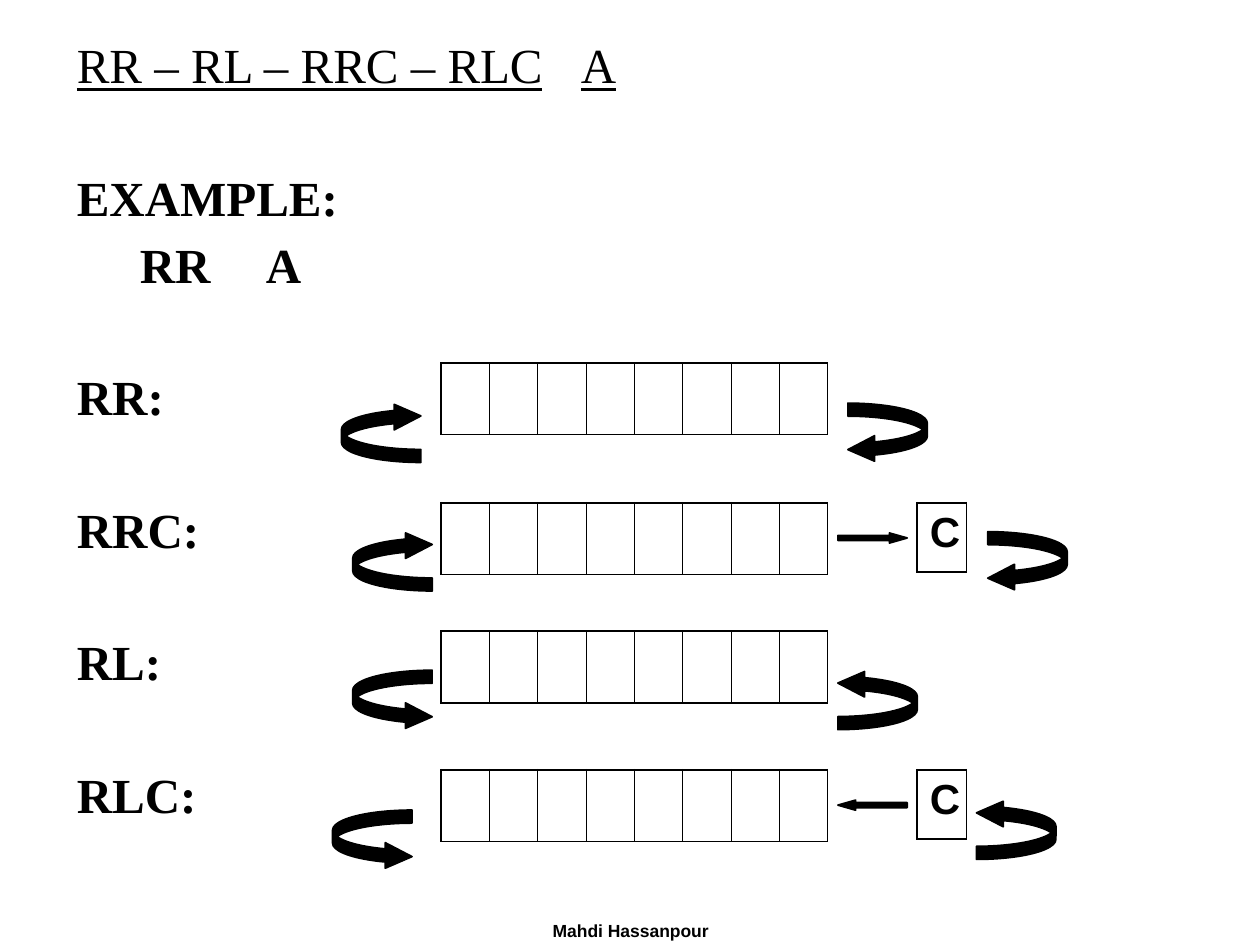
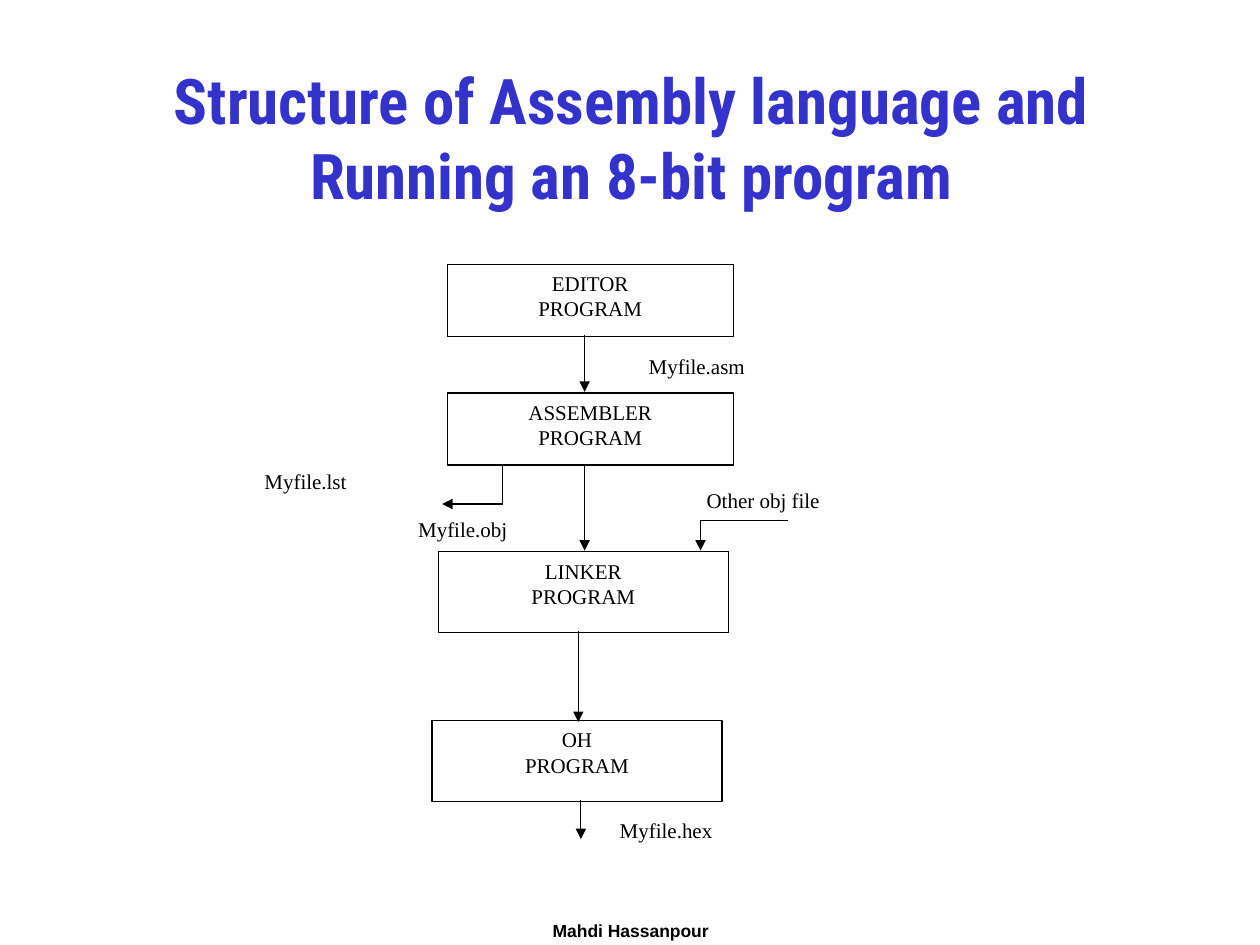
from dataclasses import dataclass

from lxml import etree
from pptx import Presentation
from pptx import util as u
from pptx.dml import color
from pptx.enum import shapes, text
from pptx.oxml import ns


@dataclass
class Theme:
    ink: color.RGBColor = color.RGBColor(0, 0, 0)
    paper: color.RGBColor = color.RGBColor(255, 255, 255)
    blue: color.RGBColor = color.RGBColor(0x33, 0x33, 0xCC)
    serif: str = "Times New Roman"
    sans: str = "Arial"
    head: str = "Roboto Condensed"
    title: int = 36
    body: int = 28
    carry: int = 24
    label: int = 12
    foot: int = 10
    thin: float = 0.45
    edge: float = 1.08
    line: float = 0.74


theme = Theme()
inch = u.Inches


def style(para, face, size, bold=False, tint=theme.ink, align=None):
    """Set the font and alignment of one paragraph."""
    font = para.font
    font.name, font.size, font.bold = face, u.Pt(size), bold
    font.color.rgb = tint
    para.alignment = align


def grid(slide, left, top, width, height, count):
    """Add a one-row table with thin inner and thick outer borders."""
    table = slide.shapes.add_table(
        1, count, inch(left), inch(top), inch(width), inch(height)).table
    table.first_row = table.horz_banding = False
    for i in range(count):
        cell = table.cell(0, i)
        props = cell._tc.get_or_add_tcPr()
        sides = {"L": theme.thin if i else theme.edge,
                 "R": theme.thin if i < count - 1 else theme.edge,
                 "T": theme.edge, "B": theme.edge}
        for side, points in sides.items():
            line = etree.SubElement(props, ns.qn("a:ln" + side), w=str(u.Pt(points)))
            fill = etree.SubElement(line, ns.qn("a:solidFill"))
            etree.SubElement(fill, ns.qn("a:srgbClr"), val=str(theme.ink))
        cell.fill.background()
    return table


deck = Presentation()
deck.slide_width, deck.slide_height = inch(10), inch(7.5)
center = text.PP_ALIGN.CENTER

# Slide 1: rotate instructions
slide = deck.slides.add_slide(deck.slide_layouts[1])
title = slide.shapes.title
title.element.getparent().remove(title.element)
body = slide.placeholders[1]
body.left, body.top, body.width, body.height = map(inch, (0.51, 0.28, 9, 6.38))
frame = body.text_frame
frame.auto_size = text.MSO_AUTO_SIZE.NONE

# Text, lines skipped before it, tab stops
near, far = 8.2, 45.4
rows = [("RR – RL – RRC – RLC\tA", near, [4.07]), ("EXAMPLE:", far, []),
        ("\tRR\tA", near, [0.38, 2.38]), ("RR:", far, []),
        ("RRC:", far, []), ("RL:", far, []), ("RLC:", far, [])]
for i, (words, gap, stops) in enumerate(rows):
    para = frame.paragraphs[0] if i == 0 else frame.add_paragraph()
    para.text = words
    style(para, theme.serif, theme.body, bold=i > 0)
    para.font.underline = i == 0
    para.line_spacing, para.space_before = 0.9, u.Pt(gap)
    props = para._p.get_or_add_pPr()
    props.set("marL", "0")
    props.set("indent", "0")
    mark = etree.Element(ns.qn("a:buNone"))
    tabs = etree.Element(ns.qn("a:tabLst"))
    for stop in stops:
        etree.SubElement(tabs, ns.qn("a:tab"), pos=str(inch(stop)), algn="l")
    at = props.index(props.find(ns.qn("a:spcBef"))) + 1
    props.insert(at, mark)
    if stops:
        props.insert(at + 1, tabs)

# Registers: eight bits each, some with a carry cell
kind = shapes.MSO_SHAPE
right, left = kind.CURVED_RIGHT_ARROW, kind.CURVED_LEFT_ARROW
bent = [0.22, 0.43, 0.45]
# Register top, loop top, left loop x, right loop x, goes right, straight arrow
regs = [(2.88, 3.2, 2.71, 6.73, True, None),
        (3.99, 4.22, 2.8, 7.84, True, kind.RIGHT_ARROW),
        (5.01, 5.32, 2.8, 6.65, False, None),
        (6.11, 6.43, 2.64, 7.75, False, kind.LEFT_ARROW)]
for top, loop, west, east, ahead, straight in regs:
    grid(slide, 3.5, top, 3.07, 0.57, 8)
    # The loop beside the carry of the last row sits a little higher
    high = 6.35 if top == 6.11 else loop
    form = left if ahead else right
    parts = [(form, west, loop, 0.63, 0.47, 180 if ahead else 0, bent),
             (form, east, high, 0.63, 0.47, 0 if ahead else 180, bent)]
    if straight:
        cell = grid(slide, 7.28, top, 0.39, 0.55, 1).cell(0, 0)
        cell.text = "C"
        para = cell.text_frame.paragraphs[0]
        style(para, theme.sans, theme.carry, bold=True)
        para.space_before = u.Pt(6)
        parts.append((straight, 6.65, top + 0.24, 0.55, 0.08, 0, [0.5, 1.76]))
    for form, x, y, wide, tall, turn, ratios in parts:
        arrow = slide.shapes.add_shape(form, inch(x), inch(y), inch(wide), inch(tall))
        arrow.rotation = turn
        for i, ratio in enumerate(ratios):
            arrow.adjustments[i] = ratio
        arrow.shadow.inherit = False
        arrow.fill.solid()
        arrow.fill.fore_color.rgb = arrow.line.color.rgb = theme.ink
        arrow.line.width = u.Pt(1)

# Slide 2: tool chain
slide = deck.slides.add_slide(deck.slide_layouts[5])
title = slide.shapes.title
title.left, title.top, title.width, title.height = map(inch, (0.51, 0.76, 9, 1.25))
frame = title.text_frame
frame.text = "Structure of Assembly language and Running an 8-bit program"
frame.auto_size = text.MSO_AUTO_SIZE.NONE
frame.vertical_anchor = text.MSO_ANCHOR.MIDDLE
frame.margin_bottom = inch(0.65)
style(frame.paragraphs[0], theme.head, theme.title, True, theme.blue, center)

# Program boxes
steps = [("EDITOR", 3.55, 2.1, 2.27, 0.57), ("ASSEMBLER", 3.55, 3.12, 2.27, 0.57),
         ("LINKER", 3.48, 4.38, 2.3, 0.64), ("OH", 3.43, 5.72, 2.3, 0.64)]
for name, *place in steps:
    box = slide.shapes.add_shape(kind.RECTANGLE, *map(inch, place))
    box.shadow.inherit = False
    box.fill.solid()
    box.fill.fore_color.rgb = theme.paper
    box.line.color.rgb, box.line.width = theme.ink, u.Pt(theme.line)
    frame = box.text_frame
    frame.text = name + "\nPROGRAM"
    frame.vertical_anchor = text.MSO_ANCHOR.TOP
    for para in frame.paragraphs:
        style(para, theme.serif, theme.label, align=center)

# Flow lines: from, to, arrowhead
flows = [(4.64, 2.66, 4.64, 3.11, True), (4.64, 3.69, 4.64, 4.37, True),
         (3.99, 3.69, 3.99, 4.01, False), (3.99, 4, 3.51, 4, True),
         (6.25, 4.13, 5.56, 4.13, False), (5.56, 4.13, 5.56, 4.37, True),
         (4.59, 5.01, 4.59, 5.73, True), (4.61, 6.35, 4.61, 6.66, True)]
for *ends, tipped in flows:
    flow = slide.shapes.add_connector(shapes.MSO_CONNECTOR.STRAIGHT, *map(inch, ends))
    flow.line.color.rgb, flow.line.width = theme.ink, u.Pt(theme.line)
    if tipped:
        etree.SubElement(flow.line._get_or_add_ln(), ns.qn("a:tailEnd"), type="triangle")
    etree.SubElement(flow._element.spPr, ns.qn("a:effectLst"))

# File labels, then the footer of every slide
notes = [(slide, words, x, y, 1.89, 0.36, theme.serif, theme.label, False, None)
         for words, x, y in [("Myfile.asm", 5.05, 2.76), ("Myfile.obj", 3.22, 4.05),
                             ("Other obj file", 5.51, 3.82), ("Myfile.lst", 2, 3.67),
                             ("Myfile.hex", 4.82, 6.44)]]
notes += [(page, "Mahdi Hassanpour", 3.42, 7.25, 3.17, 0.25,
           theme.sans, theme.foot, True, center) for page in deck.slides]
for page, words, x, y, wide, tall, face, size, bold, align in notes:
    frame = page.shapes.add_textbox(inch(x), inch(y), inch(wide), inch(tall)).text_frame
    frame.word_wrap = True
    frame.text = words
    style(frame.paragraphs[0], face, size, bold, align=align)

deck.save("out.pptx")
